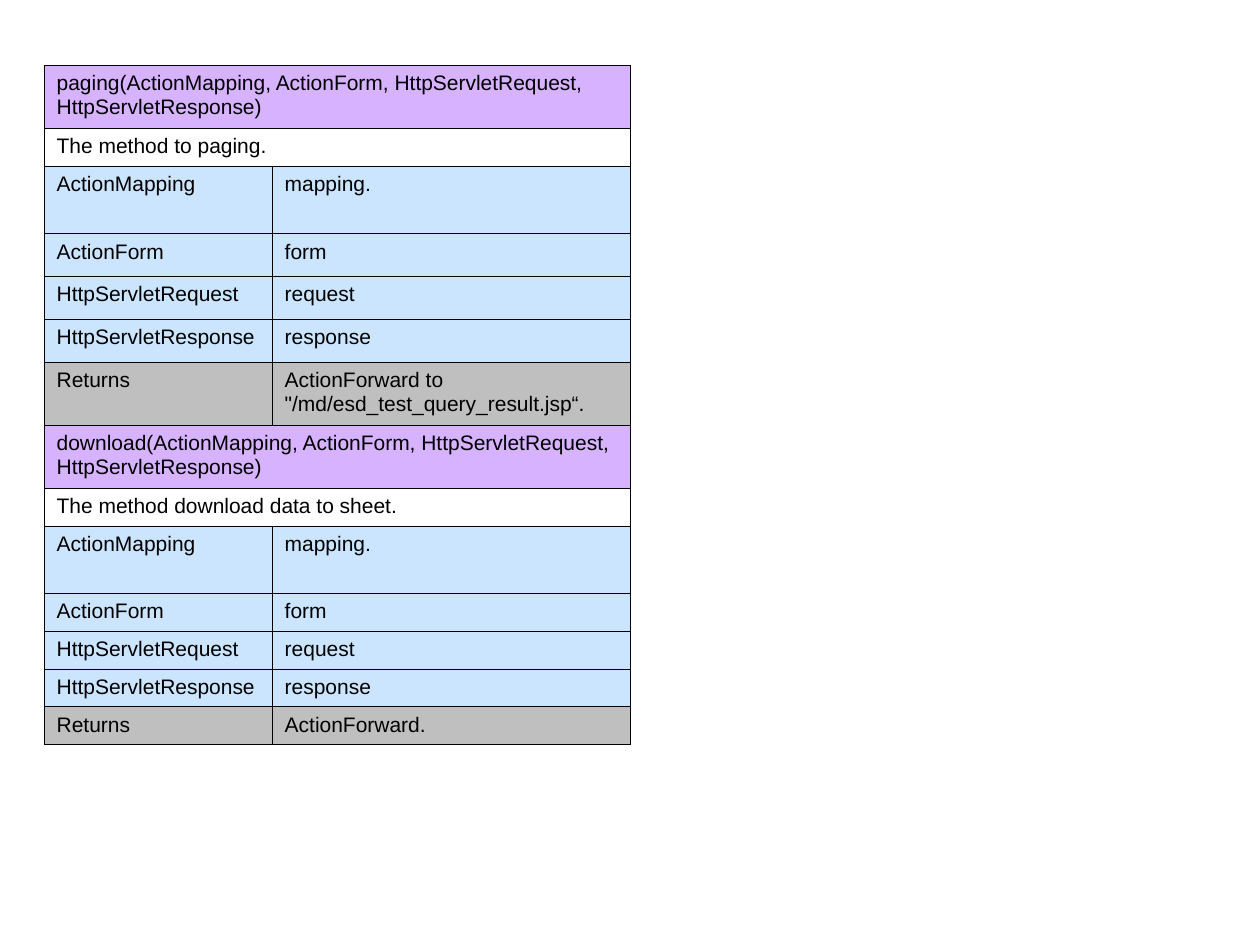
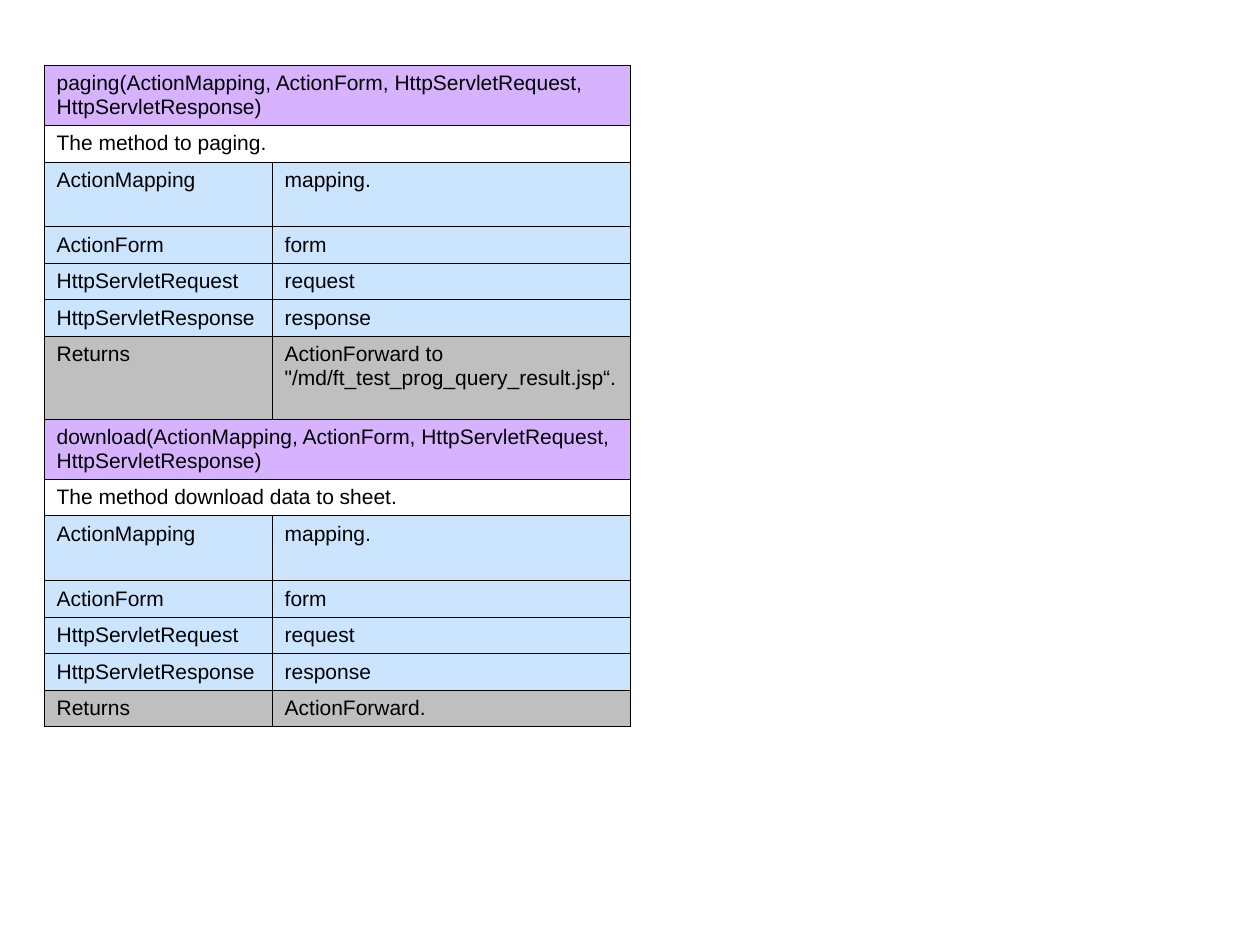
import dataclasses

import lxml.etree
import pptx
import pptx.dml.color
import pptx.oxml.ns
import pptx.util

PX = 914400 // 200
SLIDE_SIZE = (2000, 1500)
TABLE_LEFT, TABLE_TOP = 70, 104
COLUMN_WIDTHS = (362, 568)

PARAMETERS = (
    ("ActionMapping", "mapping."),
    ("ActionForm", "form"),
    ("HttpServletRequest", "request"),
    ("HttpServletResponse", "response"),
)
SIGNATURE = "({})".format(", ".join(kind for kind, _ in PARAMETERS))


@dataclasses.dataclass(frozen=True)
class Theme:
    font: str = "Arial"
    text_size: float = 12
    space_before: float = 3
    text: str = "000000"
    border: str = "000000"
    border_width: float = 0.45
    signature: str = "AF67FF"
    parameter: str = "99CCFF"
    returns: str = "808080"
    fill_opacity: int = 50


@dataclasses.dataclass(frozen=True)
class RowHeights:
    signature: int
    description: int
    mapping: int
    paging_parameter: int
    paging_returns: int
    download_parameter: int


@dataclasses.dataclass(frozen=True)
class Row:
    texts: tuple
    height: int
    fill: str | None = None


class Deck:
    def __init__(self, theme):
        self.theme = theme
        self.presentation = pptx.Presentation()
        self.presentation.slide_width, self.presentation.slide_height = (
            side * PX for side in SLIDE_SIZE
        )
        self.slide = None

    def add_slide(self):
        self.slide = self.presentation.slides.add_slide(
            self.presentation.slide_layouts[6]
        )

    def add_table(self, rows):
        """Draw the rows; a row with a single text spans all columns."""
        table = self.slide.shapes.add_table(
            len(rows), len(COLUMN_WIDTHS), TABLE_LEFT * PX, TABLE_TOP * PX,
            sum(COLUMN_WIDTHS) * PX, sum(row.height for row in rows) * PX,
        ).table
        table.first_row = table.horz_banding = False
        for column, width in zip(table.columns, COLUMN_WIDTHS):
            column.width = width * PX
        for index, row in enumerate(rows):
            table.rows[index].height = row.height * PX
            cells = list(table.rows[index].cells)
            if len(row.texts) == 1:
                cells[0].merge(cells[-1])
            for cell in cells:
                self.fill_cell(cell, row.fill)
                self.border_cell(cell)
            for cell, text in zip(cells, row.texts):
                self.write_cell(cell, text)

    def write_cell(self, cell, text):
        cell.text_frame.text = text
        paragraph = cell.text_frame.paragraphs[0]
        paragraph.space_before = pptx.util.Pt(self.theme.space_before)
        for run in paragraph.runs:
            run.font.name = self.theme.font
            run.font.size = pptx.util.Pt(self.theme.text_size)
            run.font.color.rgb = pptx.dml.color.RGBColor.from_string(self.theme.text)

    def fill_cell(self, cell, color):
        if color is None:
            cell.fill.background()
            return
        cell.fill.solid()
        cell.fill.fore_color.rgb = pptx.dml.color.RGBColor.from_string(color)
        rgb = cell._tc.get_or_add_tcPr().find(".//" + pptx.oxml.ns.qn("a:srgbClr"))
        alpha = lxml.etree.SubElement(rgb, pptx.oxml.ns.qn("a:alpha"))
        alpha.set("val", str(self.theme.fill_opacity * 1000))

    def border_cell(self, cell):
        """Put a line on each side, ahead of the fill as the schema requires."""
        properties = cell._tc.get_or_add_tcPr()
        for position, side in enumerate(("a:lnL", "a:lnR", "a:lnT", "a:lnB")):
            line = lxml.etree.Element(pptx.oxml.ns.qn(side))
            line.set("w", str(pptx.util.Pt(self.theme.border_width)))
            solid = lxml.etree.SubElement(line, pptx.oxml.ns.qn("a:solidFill"))
            rgb = lxml.etree.SubElement(solid, pptx.oxml.ns.qn("a:srgbClr"))
            rgb.set("val", self.theme.border)
            properties.insert(position, line)


def method_rows(theme, heights, name, description, returns,
                parameter_height, returns_height):
    mapping, *others = PARAMETERS
    return [
        Row((name + SIGNATURE,), heights.signature, theme.signature),
        Row((description,), heights.description),
        Row(mapping, heights.mapping, theme.parameter),
        *(Row(pair, parameter_height, theme.parameter) for pair in others),
        Row(("Returns", returns), returns_height, theme.returns),
    ]


def add_methods_slide(deck, result_page, heights):
    deck.add_slide()
    paging = method_rows(
        deck.theme, heights, "paging", "The method to paging.",
        f'ActionForward to "/md/{result_page}“.',
        heights.paging_parameter, heights.paging_returns,
    )
    download = method_rows(
        deck.theme, heights, "download", "The method download data to sheet.",
        "ActionForward.",
        heights.download_parameter, heights.download_parameter,
    )
    deck.add_table(paging + download)


def main():
    deck = Deck(Theme())
    add_methods_slide(deck, "esd_test_query_result.jsp", RowHeights(
        signature=100, description=60, mapping=107,
        paging_parameter=68, paging_returns=100, download_parameter=60,
    ))
    add_methods_slide(deck, "ft_test_prog_query_result.jsp", RowHeights(
        signature=95, description=58, mapping=103,
        paging_parameter=58, paging_returns=132, download_parameter=58,
    ))
    deck.presentation.save("out.pptx")


if __name__ == "__main__":
    main()
